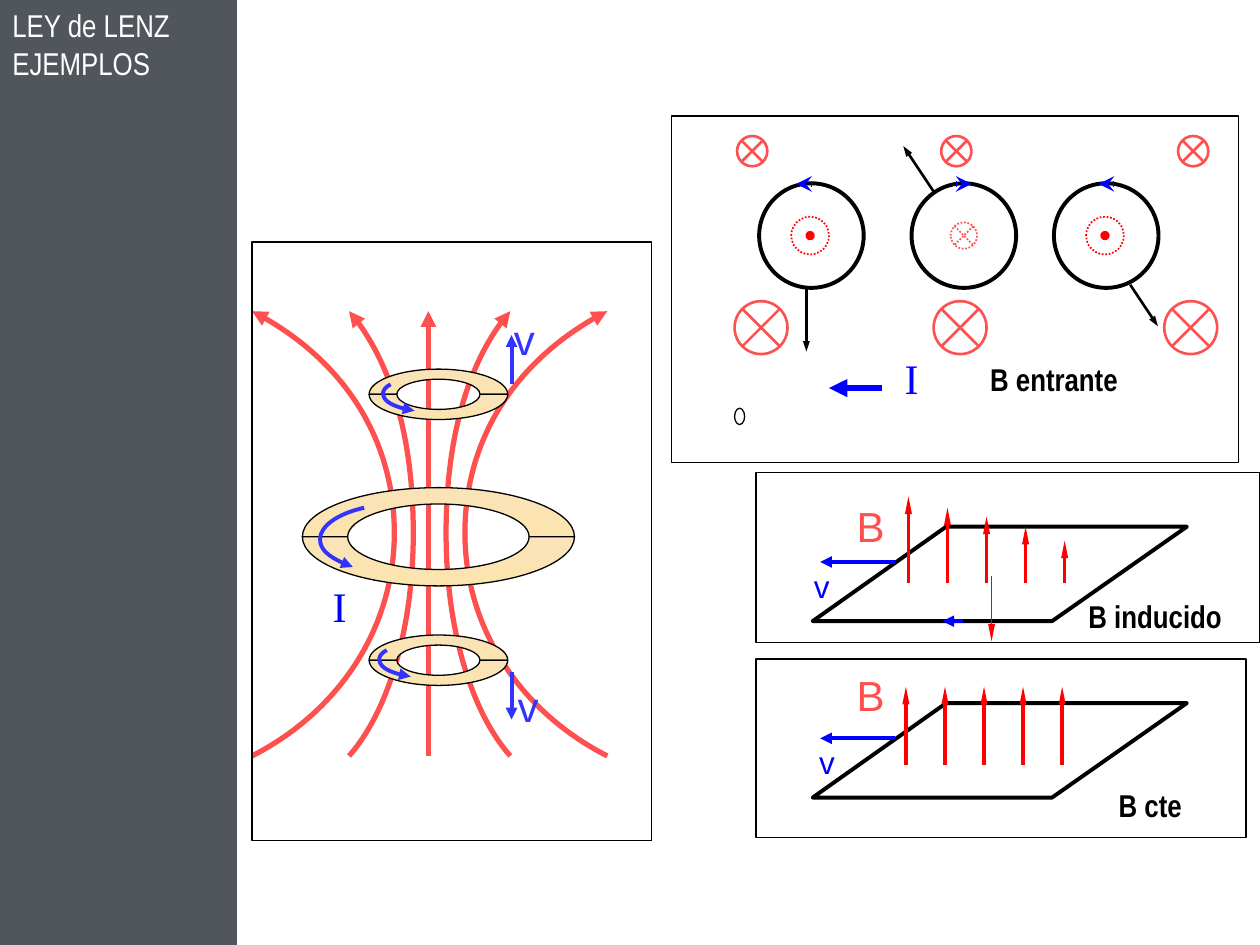
from dataclasses import dataclass

import pptx
import pptx.dml.color
import pptx.enum.dml
import pptx.enum.shapes
import pptx.enum.text
import pptx.oxml
import pptx.oxml.ns
import pptx.util

Inches = pptx.util.Inches
Shape = pptx.enum.shapes.MSO_SHAPE
Anchor = pptx.enum.text.MSO_ANCHOR
NAMESPACE = pptx.oxml.ns.nsdecls("a")


@dataclass(frozen=True)
class Theme:
    """Colours, fonts and type sizes of the slide."""
    sidebar: str = "50565B"
    white: str = "FFFFFF"
    black: str = "000000"
    red: str = "FF0000"
    field: str = "FF5050"
    current: str = "0000FF"
    motion: str = "3333FF"
    ring: tuple = ("FBE4AE", "FAE3B7")
    narrow: str = "Arial Narrow"
    sans: str = "Arial"
    serif: str = "Times New Roman"
    body: int = 18
    symbol: int = 24


THEME = Theme()
PLAIN_HEAD = ("triangle", "med", "med")
SLIM_HEAD = ("triangle", "sm", "med")
LONG_HEAD = ("triangle", "sm", "lg")
STEALTH_HEAD = ("stealth", "med", "med")


def rgb(color):
    """Turn a hex string into a colour."""
    return pptx.dml.color.RGBColor.from_string(color)


def bend_segments(shape, steps):
    """Turn each three-point step of a freeform outline into a cubic curve."""
    segments = list(shape.element.iter(pptx.oxml.ns.qn("a:lnTo")))
    for step in steps:
        group, segments = segments[:len(step)], segments[len(step):]
        if len(step) == 3:
            curve = pptx.oxml.parse_xml(f"<a:cubicBezTo {NAMESPACE}/>")
            group[0].addprevious(curve)
            for segment in group:
                curve.append(segment[0])
                segment.getparent().remove(segment)


@dataclass
class Region:
    """A box on the page; its parts are placed from its top left corner, in inches."""
    page: object
    left: float
    top: float
    width: float
    height: float

    def place(self, x, y):
        """Give the page position of a point in the box."""
        return Inches(self.left + x), Inches(self.top + y)

    def stroke(self, shape, color, weight, head=None, dotted=False):
        """Set the line of a shape, with an arrowhead at its end if given."""
        shape.line.color.rgb = rgb(color)
        shape.line.width = pptx.util.Pt(weight)
        if dotted:
            shape.line.dash_style = pptx.enum.dml.MSO_LINE.ROUND_DOT
        if head:
            kind, width, length = head
            line = shape.element.spPr.find(pptx.oxml.ns.qn("a:ln"))
            line.append(pptx.oxml.parse_xml(
                f'<a:tailEnd {NAMESPACE} type="{kind}" w="{width}" len="{length}"/>'))

    def arrow(self, start, end, color, weight, head=PLAIN_HEAD, dotted=False):
        """Draw a straight arrow."""
        line = self.page.shapes.add_connector(
            pptx.enum.shapes.MSO_CONNECTOR.STRAIGHT, *self.place(*start), *self.place(*end))
        self.stroke(line, color, weight, head, dotted)
        line.element.spPr.append(pptx.oxml.parse_xml(f"<a:effectLst {NAMESPACE}/>"))

    def shape(self, kind, x, y, width, height, color=None, weight=0.75, fill=None, dotted=False):
        """Draw a preset shape."""
        shape = self.page.shapes.add_shape(kind, *self.place(x, y), Inches(width), Inches(height))
        shape.shadow.inherit = False
        if fill:
            shape.fill.solid()
            shape.fill.fore_color.rgb = rgb(fill)
        else:
            shape.fill.background()
        if color:
            self.stroke(shape, color, weight, dotted=dotted)
        else:
            shape.line.fill.background()

    def centred(self, kind, centre, size, color, weight, **style):
        """Draw a round shape about a centre."""
        self.shape(kind, centre[0] - size / 2, centre[1] - size / 2, size, size, color, weight, **style)

    def outline(self, start, steps, color, weight, closed=False, head=None, gradient=None):
        """Draw a freeform; a step has one point for a line or three for a curve."""
        builder = self.page.shapes.build_freeform(*self.place(*start))
        builder.add_line_segments([self.place(*point) for step in steps for point in step], close=closed)
        shape = builder.convert_to_shape()
        bend_segments(shape, steps)
        shape.shadow.inherit = False
        if gradient:
            shape.fill.gradient()
            for stop, shade in zip(shape.fill.gradient_stops, gradient):
                stop.color.rgb = rgb(shade)
        else:
            shape.fill.background()
        self.stroke(shape, color, weight, head)

    def text(self, lines, x, y, width, height, font, size, color, bold=False, inset=(0.1, 0.05), anchor=Anchor.TOP):
        """Write lines of text, one paragraph each."""
        box = self.page.shapes.add_textbox(*self.place(x, y), Inches(width), Inches(height))
        frame = box.text_frame
        frame.word_wrap = True
        frame.vertical_anchor = anchor
        frame.margin_left = frame.margin_right = Inches(inset[0])
        frame.margin_top = frame.margin_bottom = Inches(inset[1])
        for index, line in enumerate(lines):
            para = frame.add_paragraph() if index else frame.paragraphs[0]
            span = para.add_run()
            span.text = line
            span.font.name, span.font.size, span.font.bold = font, pptx.util.Pt(size), bold
            span.font.color.rgb = rgb(color)

    def caption(self, line, x, y, width):
        """Write the bold caption of a panel."""
        self.text([line], x, y, width, 0.4, THEME.narrow, THEME.body, THEME.black, bold=True)

    def frame(self):
        """Draw the border of the box."""
        self.shape(Shape.RECTANGLE, 0, 0, self.width, self.height, THEME.black)


def draw_sidebar(region):
    """Draw the dark side band with the title."""
    region.shape(Shape.RECTANGLE, 0, 0, region.width, region.height, fill=THEME.sidebar)
    region.text(["LEY de LENZ", "EJEMPLOS"], 0, 0, 1.83, 0.7, THEME.narrow, THEME.body, THEME.white)


def half_ellipse(centre, radii, side, way):
    """Give the two curves of a half ellipse, above (-1) or below (1), drawn rightward (1) or leftward (-1)."""
    (x, y), (wide, high), round_off = centre, radii, 0.55
    reach, rise = way * wide, side * high
    return [((x - reach, y + round_off * rise), (x - round_off * reach, y + rise), (x, y + rise)),
            ((x + round_off * reach, y + rise), (x + reach, y + round_off * rise), (x + reach, y))]


def draw_ring(region, centre, outer, inner):
    """Draw a flat ring as a back half and a front half."""
    x, y = centre
    for side in (-1, 1):
        steps = [*half_ellipse(centre, inner, side, 1), ((x + outer[0], y),),
                 *half_ellipse(centre, outer, side, -1)]
        region.outline((x - inner[0], y), steps, THEME.black, 0.75, closed=True, gradient=THEME.ring)


def draw_falling_rings(region):
    """Draw the field lines with three rings moving along them."""
    axis, top, middle, bottom = 1.41, 0.55, 2.31, 4.08
    region.arrow((1.4, bottom), (1.4, top), THEME.field, 3)
    for side in (1, -1):
        for spread, waist in ((1.41, 0.28), (0.64, 0.13)):
            end, neck = axis + side * spread, axis + side * waist
            bend = neck + 0.375 * (end - neck)
            region.outline((end, bottom), [((bend, 3.72), (neck, 3.05), (neck, middle)),
                                           ((neck, 1.58), (bend, 0.91), (end, top))],
                           THEME.field, 3, head=PLAIN_HEAD)
    centre = 1.48
    draw_ring(region, (centre, 2.34), (1.08, 0.39), (0.72, 0.26))
    region.outline((0.89, 2.11), [((0.67, 2.16), (0.54, 2.26), (0.54, 2.36)),
                                  ((0.54, 2.44), (0.63, 2.52), (0.8, 2.58))],
                   THEME.motion, 2.25, head=PLAIN_HEAD)
    for level, shift, start, end, label_top in ((1.21, 0, 1.13, 0.74, 0.52), (3.32, -0.03, 3.41, 3.79, 3.43)):
        draw_ring(region, (centre, level), (0.55, 0.2), (0.33, 0.12))
        swirl = [((1.06, -0.06), (1.04, -0.03), (1.04, -0.01)),
                 ((1.04, 0.05), (1.14, 0.11), (1.29, 0.13))]
        region.outline((1.1 + shift, level - 0.08),
                       [[(x + shift, y + level) for x, y in step] for step in swirl],
                       THEME.motion, 2.25, head=PLAIN_HEAD)
        region.arrow((2.06, start), (2.06, end), THEME.motion, 2.25)
        region.text(["v"], 1.98 - shift, label_top, 0.36, 0.5, THEME.sans, THEME.symbol, THEME.motion)
    region.text(["I"], 0.64, 2.69, 0.11, 0.4, THEME.serif, THEME.symbol, THEME.current, inset=(0, 0))
    region.frame()


def draw_loops(region):
    """Draw three loops that move in a field pointing into the page."""
    loops = ((1.11, 1.11, -0.12, (1.07, 1.37), (1.07, 1.87)),
             (2.32, 2.26, 0.12, (2.08, 0.6), (1.84, 0.24)),
             (3.45, 3.51, -0.12, (3.64, 1.34), (3.86, 1.67)))
    for x, current, turn, start, end in loops:
        region.centred(Shape.OVAL, (x, 0.95), 0.83, THEME.black, 2.25)
        region.arrow(start, end, THEME.black, 1.5, SLIM_HEAD)
        region.arrow((current, 0.54), (current + turn, 0.54), THEME.current, 3, STEALTH_HEAD)
        if turn > 0:
            region.centred(Shape.FLOWCHART_SUMMING_JUNCTION, (x, 0.95), 0.21, THEME.field, 1, dotted=True)
        else:
            centre = (x - 0.01, 0.95)
            region.centred(Shape.OVAL, centre, 0.3, THEME.red, 1, dotted=True)
            region.centred(Shape.OVAL, centre, 0.06, THEME.red, 1, fill=THEME.red)
    for top, size, lefts in ((0.16, 0.24, (0.52, 2.14, 4.02)), (1.47, 0.42, (0.5, 2.08, 3.91))):
        for left in lefts:
            region.shape(Shape.FLOWCHART_SUMMING_JUNCTION, left, top, size, size, THEME.field, 1.5)
    region.arrow((1.67, 2.16), (1.25, 2.16), THEME.current, 3.5)
    region.text(["I"], 1.84, 1.87, 0.42, 0.54, THEME.serif, THEME.symbol, THEME.current, inset=(0.01, 0.01))
    region.shape(Shape.OVAL, 0.5, 2.32, 0.08, 0.13, THEME.black)
    region.caption("B entrante", 2.43, 1.89, 1.83)
    region.frame()


def draw_moving_frame(region, loop_top, speed_left, field_start, heights, label_top):
    """Draw a tilted loop moving left through a row of field arrows."""
    low = loop_top + 0.75
    region.outline((0.45, low), [((1.51, loop_top),), ((3.42, loop_top),), ((2.35, low),)],
                   THEME.black, 2.25, closed=True)
    region.arrow((1.1, loop_top + 0.28), (0.51, loop_top + 0.28), THEME.current, 2.25)
    region.text(["v"], speed_left, loop_top + 0.31, 0.29, 0.37,
                THEME.sans, THEME.body, THEME.current, inset=(0.01, 0.01))
    left, base = field_start
    for index, height in enumerate(heights):
        x = left + 0.31 * index
        region.arrow((x, base), (x, base - height), THEME.red, 2, LONG_HEAD)
    region.text(["B"], 0.7, label_top, 0.42, 0.84, THEME.sans, THEME.symbol, THEME.field, anchor=Anchor.BOTTOM)
    region.frame()


def draw_induced(region):
    """Draw the loop in a varying field, with its induced current and field."""
    draw_moving_frame(region, 0.43, 0.45, (1.21, 0.88), (0.69, 0.6, 0.53, 0.45, 0.34), -0.17)
    region.arrow((1.87, 0.82), (1.87, 1.34), THEME.red, 0.25, LONG_HEAD, dotted=True)
    region.arrow((1.64, 1.18), (1.48, 1.18), THEME.current, 2.25)
    region.caption("B inducido", 2.54, 0.94, 1.34)


def draw_constant(region):
    """Draw the loop in a constant field."""
    draw_moving_frame(region, 0.35, 0.49, (1.19, 0.84), (0.62,) * 5, -0.31)
    region.caption("B cte", 2.78, 0.96, 0.87)


def main():
    """Build the slide and save it."""
    deck = pptx.Presentation()
    deck.slide_width, deck.slide_height = Inches(10), Inches(7.5)
    page = deck.slides.add_slide(deck.slide_layouts[6])
    draw_sidebar(Region(page, 0, 0, 1.88, 7.5))
    draw_falling_rings(Region(page, 2, 1.92, 3.17, 4.75))
    draw_loops(Region(page, 5.33, 0.92, 4.5, 2.75))
    draw_induced(Region(page, 6, 3.75, 4, 1.35))
    draw_constant(Region(page, 6, 5.23, 3.89, 1.42))
    deck.save("out.pptx")


if __name__ == "__main__":
    main()
